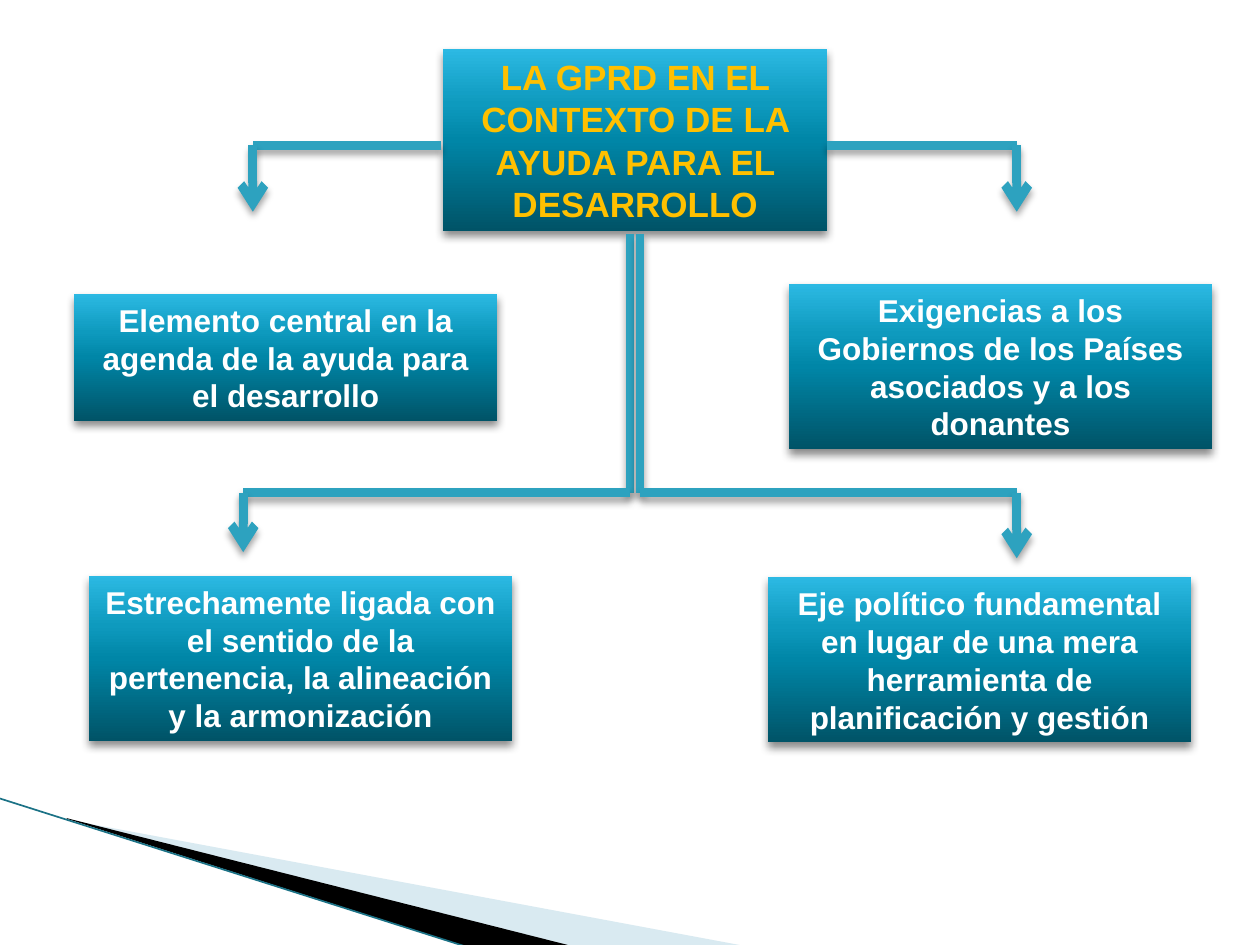
from lxml import etree
from pptx import Presentation
from pptx.dml.color import RGBColor
from pptx.enum.shapes import MSO_CONNECTOR, MSO_SHAPE
from pptx.enum.text import MSO_ANCHOR, MSO_AUTO_SIZE, PP_ALIGN
from pptx.oxml.ns import qn
from pptx.util import Pt

LINE, RECT = MSO_CONNECTOR.STRAIGHT, MSO_SHAPE.RECTANGLE
MID, CENTER, NO_FIT = MSO_ANCHOR.MIDDLE, PP_ALIGN.CENTER, MSO_AUTO_SIZE.NONE

HEX = {"gold": "FFC000", "white": "FFFFFF", "teal": "2DA2BF", "black": "000000",
       "pale": "A0CBDC", "edge": "1B7286"}
STOPS = [(0, "005367"), (50, "0086A7"), (70, "0E9ABE"), (100, "2CB9E3")]


def rgb(name):
    return RGBColor.from_string(HEX[name])


def sub(node, tag, **attrs):
    return etree.SubElement(node, qn(tag), {k: str(v) for k, v in attrs.items()})


def shade(props, blur, alpha):
    """Drop a soft shadow straight down."""
    for old in props.findall(qn("a:effectLst")):
        props.remove(old)
    drop = sub(sub(props, "a:effectLst"), "a:outerShdw", blurRad=Pt(blur),
               dist=Pt(3), dir=5400000, algn="ctr", rotWithShape=0)
    tone = sub(drop, "a:srgbClr", val=HEX["black"])
    sub(tone, "a:alpha", val=alpha * 1000)


def blend(shape):
    """Fill from dark at the foot to light at the top."""
    shape.fill.gradient()
    shape.fill.gradient_angle = 90
    stops = shape._element.spPr.find(qn("a:gradFill")).find(qn("a:gsLst"))
    for old in list(stops):
        stops.remove(old)
    for pos, tone in STOPS:
        sub(sub(stops, "a:gs", pos=pos * 1000), "a:srgbClr", val=tone)


def panel(shape, box, text, size, color):
    shape.left, shape.top, shape.width, shape.height = map(Pt, box)
    blend(shape)
    shape.line.fill.background()
    shade(shape._element.spPr, 5, 45)
    frame = shape.text_frame
    frame.word_wrap = True
    frame.auto_size = NO_FIT
    frame.vertical_anchor = MID
    frame.text = text
    para = frame.paragraphs[0]
    para.alignment = CENTER
    para.line_spacing = Pt(size * 1.2)
    font = para.font
    font.name, font.size, font.bold = "Arial", Pt(size), True
    font.color.rgb = rgb(color)


def rule(slide, ends, width, color):
    link = slide.shapes.add_connector(LINE, *map(Pt, ends))
    link.line.width = Pt(width)
    link.line.color.rgb = rgb(color)
    return link


def branch(slide, points):
    """Run a line through the points, with an arrow on the last leg."""
    legs = list(zip(points, points[1:]))
    for start, end in legs:
        link = rule(slide, start + end, 5, "teal")
        props = link._element.spPr
        if end == points[-1]:
            sub(props.find(qn("a:ln")), "a:tailEnd", type="arrow")
        shade(props, 4, 35)


def wedge(slide, points, color, alpha=100):
    path = slide.shapes.build_freeform(*map(Pt, points[0]), scale=1.0)
    path.add_line_segments([(Pt(x), Pt(y)) for x, y in points[1:]])
    shape = path.convert_to_shape()
    shape.shadow.inherit = False
    shape.fill.solid()
    shape.fill.fore_color.rgb = rgb(color)
    shape.line.fill.background()
    if alpha < 100:
        tone = shape._element.spPr.find(qn("a:solidFill"))[0]
        sub(tone, "a:alpha", val=alpha * 1000)


def corner(slide, box):
    """Sweep at the lower left, within its box."""
    x, y, w, h = box
    foot = y + h
    wedge(slide, [(x + 40, y + 12.5), (x + w, foot), (x + 329, foot),
                  (x + 40, y + 12)], "pale", 40)
    wedge(slide, [(x + 39, y + 11.5), (x + 329.5, foot), (x + 268, foot),
                  (x + 39.5, y + 12)], "black")
    link = rule(slide, (x, y, x + 267.5, foot), 0.95, "edge")
    sub(link._element.spPr, "a:effectLst")


def chart(slide, head, notes):
    """Head box, four notes and the branches between them."""
    x, y, w, h = head
    left, right, low = 139, 581, 281.5
    side, foot = y + 55, y + h + 1.5
    panel(slide.shapes.title, head,
          "LA GPRD EN EL CONTEXTO DE LA AYUDA PARA EL DESARROLLO", 20, "gold")
    for box, text in notes:
        panel(slide.shapes.add_shape(RECT, *map(Pt, box)), box, text, 18, "white")
    branch(slide, [(x - 1, side), (144.5, side), (144.5, 121)])
    branch(slide, [(x + w, side), (right, side), (right, 121)])
    branch(slide, [(360, foot), (360, low), (left, low), (left, 315.5)])
    branch(slide, [(365.75, foot), (365.75, low), (right, low), (right, 319)])


def main():
    deck = Presentation()
    deck.slide_width, deck.slide_height = Pt(720), Pt(540)
    slide = deck.slides.add_slide(deck.slide_layouts[5])
    corner(slide, (-1, 456, 429, 85))
    wide, tall = 242, 94.5
    chart(slide, (253.25, 28, 219.5, 104), [
        ((42.25, 168, wide, 72.5),
         "Elemento central en la agenda de la ayuda para el desarrollo"),
        ((450.75, 162.25, wide, tall),
         "Exigencias a los Gobiernos de los Países asociados y a los donantes"),
        ((50.75, 329, wide, tall),
         "Estrechamente ligada con el sentido de la pertenencia, "
         "la alineación y la armonización"),
        ((438.75, 329.75, wide, tall),
         "Eje político fundamental en lugar de una mera herramienta de "
         "planificación y gestión"),
    ])
    deck.save("out.pptx")


if __name__ == "__main__":
    main()
